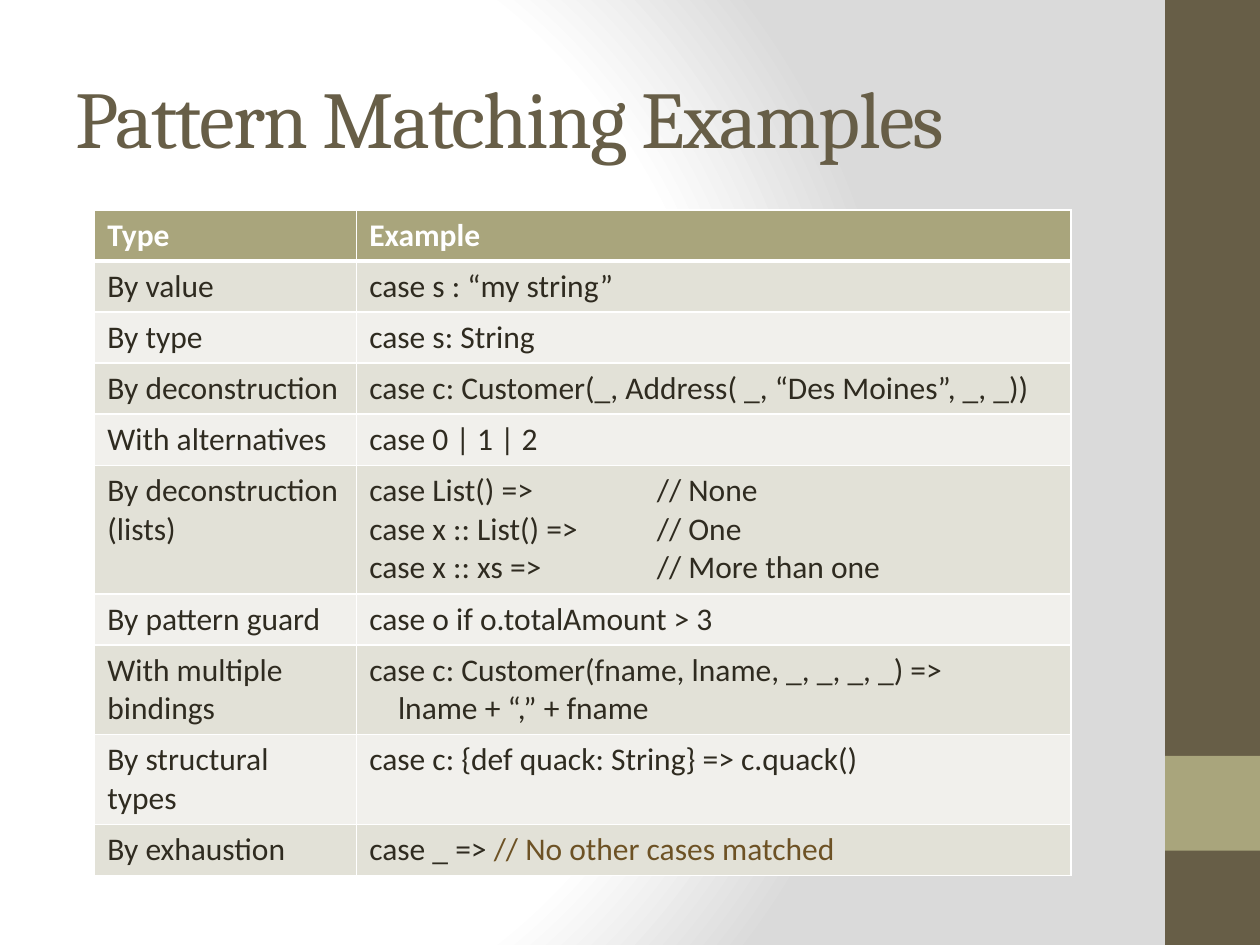
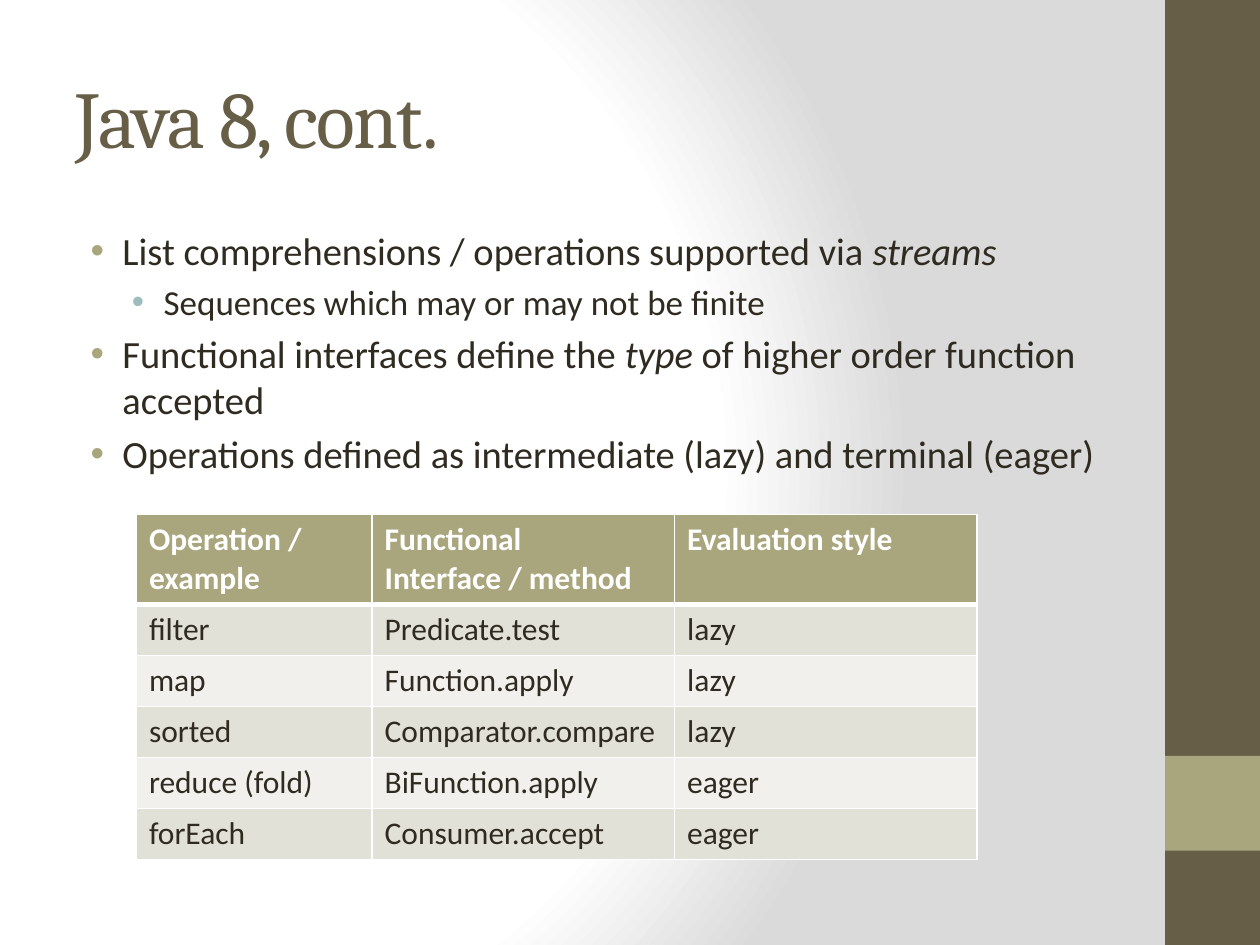
from dataclasses import dataclass
from typing import Optional

from lxml import etree
from pptx import Presentation
from pptx.dml.color import RGBColor
from pptx.enum import shapes, text
from pptx.oxml import ns
from pptx.util import Cm, Pt

DARK, OLIVE, TEAL, BROWN = "675E47", "A9A57C", "9CBEBD", "6D5225"
INK, WHITE, GREY = "2F2B20", "FFFFFF", "DADADA"
STRIPES = ("E2E1D7", "F1F0EC")
HEAD_FONT, BODY_FONT = "Cambria", "Calibri"
TABLE_SIZE = 18


@dataclass
class Run:
    text: str
    color: Optional[str] = None
    italic: bool = False


@dataclass
class Para:
    runs: list
    indent: float = 0
    tab: float = 0


@dataclass
class Row:
    cells: list
    lines: int = 1


@dataclass
class Bullet:
    size: float
    color: str
    indent: float


@dataclass
class Band:
    top: float
    height: float
    color: str


BANDS = [Band(0, 19.05, DARK), Band(15.24, 1.91, OLIVE)]
BULLETS = [Bullet(22, OLIVE, 0.95), Bullet(20, TEAL, 1.78)]


def rgb(value: str) -> RGBColor:
    return RGBColor.from_string(value)


def child(parent, tag: str, **attrs):
    return etree.SubElement(parent, ns.qn(f"a:{tag}"), {k: str(v) for k, v in attrs.items()})


def solid(parent, color: str) -> None:
    child(child(parent, "solidFill"), "srgbClr", val=color)


def add_run(p, content: str, size: float = TABLE_SIZE, color: str = INK, font: str = BODY_FONT,
            bold: bool = False, italic: bool = False, spacing: float = 0) -> None:
    r = p.add_run()
    r.text = content
    r.font.size, r.font.name = Pt(size), font
    r.font.bold, r.font.italic = bold, italic
    r.font.color.rgb = rgb(color)
    if spacing:
        r._r.get_or_add_rPr().set("spc", str(int(spacing * 100)))


def fill_para(p, para: Para, **style) -> None:
    pPr = p._p.get_or_add_pPr()
    if para.indent:
        pPr.set("marL", str(Cm(para.indent)))
    if para.tab:
        child(child(pPr, "tabLst"), "tab", pos=Cm(para.tab), algn="l")
    for run in para.runs:
        run = Run(run) if isinstance(run, str) else run
        colored = {**style, "color": run.color} if run.color else style
        add_run(p, run.text, italic=run.italic, **colored)


def set_background(prs) -> None:
    fill = prs.slide_master.background.fill
    fill.gradient()
    grad = prs.slide_master.element.find(".//" + ns.qn("a:gradFill"))
    for old in list(grad):
        grad.remove(old)
    stops = child(grad, "gsLst")
    for pos, color in ((0, WHITE), (75, WHITE), (100, GREY)):
        child(child(stops, "gs", pos=pos * 1000), "srgbClr", val=color)
    circle = child(grad, "path", path="circle")
    child(circle, "fillToRect", l=20000, t=50000, r=100000, b=50000)


def add_slide(prs, title: str):
    s = prs.slides.add_slide(prs.slide_layouts[5])
    for band in BANDS:
        sp = s.shapes.add_shape(shapes.MSO_SHAPE.RECTANGLE, Cm(23.49), Cm(band.top),
                                Cm(1.91), Cm(band.height))
        sp.shadow.inherit = False
        sp.fill.solid()
        sp.fill.fore_color.rgb = rgb(band.color)
        sp.line.fill.background()
    sp = s.shapes.title
    sp.left, sp.top, sp.width, sp.height = Cm(1.27), Cm(0.76), Cm(21.16), Cm(3.18)
    tf = sp.text_frame
    tf.vertical_anchor = text.MSO_ANCHOR.MIDDLE
    tf.auto_size = text.MSO_AUTO_SIZE.NONE
    p = tf.paragraphs[0]
    p.alignment = text.PP_ALIGN.LEFT
    add_run(p, title, size=46, color=DARK, font=HEAD_FONT, spacing=-1)
    return s


def add_bullets(s, items: list) -> None:
    sp = s.shapes.add_textbox(Cm(1.27), Cm(4.45), Cm(21.16), Cm(6.15))
    tf = sp.text_frame
    tf.word_wrap = True
    for i, (level, runs) in enumerate(items):
        p = tf.add_paragraph() if i else tf.paragraphs[0]
        bullet = BULLETS[level]
        p.level = level
        p.space_before = Pt(bullet.size * 0.2)
        pPr = p._p.get_or_add_pPr()
        pPr.set("indent", str(-Cm(0.64)))
        child(child(pPr, "buClr"), "srgbClr", val=bullet.color)
        child(pPr, "buFont", typeface="Arial")
        child(pPr, "buChar", char="•")
        fill_para(p, Para(runs, indent=bullet.indent), size=bullet.size)


def set_borders(cell, top: float, bottom: float) -> None:
    tcPr = cell._tc.get_or_add_tcPr()
    for side, width in (("L", 1), ("R", 1), ("T", top), ("B", bottom)):
        solid(child(tcPr, f"ln{side}", w=Pt(width)), WHITE)


def add_table(s, left: float, top: float, widths: list, rows: list) -> None:
    heights = [0.25 + 0.78 * row.lines for row in rows]
    frame = s.shapes.add_table(len(rows), len(widths), Cm(left), Cm(top),
                               Cm(sum(widths)), Cm(sum(heights)))
    table = frame.table
    for column, width in zip(table.columns, widths):
        column.width = Cm(width)
    for i, row in enumerate(rows):
        table.rows[i].height = Cm(heights[i])
        head = i == 0
        for j, content in enumerate(row.cells):
            cell = table.cell(i, j)
            set_borders(cell, top=3 if i == 1 else 1, bottom=3 if head else 1)
            cell.fill.solid()
            cell.fill.fore_color.rgb = rgb(OLIVE if head else STRIPES[(i - 1) % 2])
            paras = [Para([content])] if isinstance(content, str) else content
            tf = cell.text_frame
            for k, para in enumerate(paras):
                p = tf.add_paragraph() if k else tf.paragraphs[0]
                fill_para(p, para, color=WHITE if head else INK, bold=head)


LIST_CASES = [("case List() =>", "// None"), ("case x :: List() =>", "// One"),
              ("case x :: xs =>", "// More than one")]
PATTERNS = [
    Row(["Type", "Example"]),
    Row(["By value", "case s : “my string”"]),
    Row(["By type", "case s: String"]),
    Row(["By deconstruction", "case c: Customer(_, Address( _, “Des Moines”, _, _))"]),
    Row(["With alternatives", "case 0 | 1 | 2"]),
    Row(["By deconstruction (lists)",
         [Para([f"{code}\t{note}"], tab=5.8) for code, note in LIST_CASES]], lines=3),
    Row(["By pattern guard", "case o if o.totalAmount > 3"]),
    Row(["With multiple bindings",
         [Para(["case c: Customer(fname, lname, _, _, _, _) =>"]),
          Para(["lname + “,” + fname"], indent=0.58)]], lines=2),
    Row(["By structural types", "case c: {def quack: String} => c.quack()"], lines=2),
    Row(["By exhaustion", [Para(["case _ => ", Run("// No other cases matched", BROWN)])]]),
]
STREAM_POINTS = [
    (0, ["List comprehensions / operations supported via ", Run("streams", italic=True)]),
    (1, ["Sequences which may or may not be finite"]),
    (0, ["Functional interfaces define the ", Run("type", italic=True),
         " of higher order function accepted"]),
    (0, ["Operations defined as intermediate (lazy) and terminal (eager)"]),
]
OPERATIONS = [
    Row(["Operation / example", "Functional Interface / method", "Evaluation style"], lines=2),
    Row(["filter", "Predicate.test", "lazy"]),
    Row(["map", "Function.apply", "lazy"]),
    Row(["sorted", "Comparator.compare", "lazy"]),
    Row(["reduce (fold)", "BiFunction.apply", "eager"]),
    Row(["forEach", "Consumer.accept", "eager"]),
]

prs = Presentation()
prs.slide_width, prs.slide_height = Cm(25.4), Cm(19.05)
set_background(prs)

s = add_slide(prs, "Pattern Matching Examples")
add_table(s, 1.91, 4.23, [5.28, 14.4], PATTERNS)

s = add_slide(prs, "Java 8, cont.")
add_bullets(s, STREAM_POINTS)
add_table(s, 2.75, 10.37, [4.75, 6.1, 6.1], OPERATIONS)

prs.save("out.pptx")
